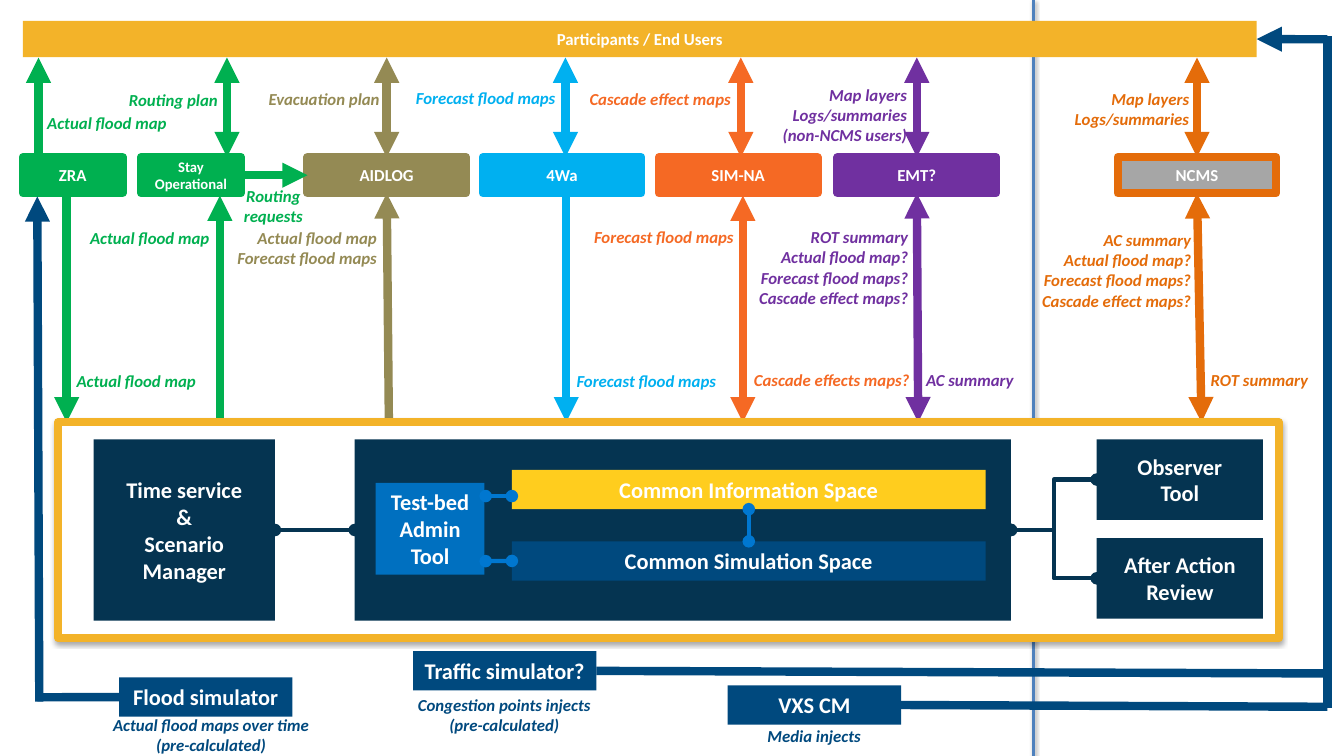
from lxml.etree import SubElement
from pptx import Presentation
from pptx.dml.color import RGBColor
from pptx.enum.shapes import MSO_CONNECTOR, MSO_SHAPE
from pptx.enum.text import MSO_ANCHOR, PP_ALIGN
from pptx.oxml.ns import qn
from pptx.util import Cm, Pt

FONT = "Calibri"
COLOURS = {
    "white": "FFFFFF", "green": "00B050", "olive": "948A54", "sky": "00B0F0",
    "coral": "F56924", "purple": "7030A0", "orange": "E46C0A", "grey": "A6A6A6",
    "gold": "F3B329", "yellow": "FFCD1E", "navy": "053451", "blue": "00497E",
    "admin": "0070C0", "link": "0077D0", "divider": "4F81BD", "black": "000000",
}
LEFT, CENTER, RIGHT = PP_ALIGN.LEFT, PP_ALIGN.CENTER, PP_ALIGN.RIGHT
TOP_SIDE, LEFT_SIDE, BOTTOM_SIDE, RIGHT_SIDE = range(4)

TOOL_TOP, TOOL_HEIGHT = 3.96, 0.91
USERS_BOTTOM, PLATFORM_TOP = 1.45, 10.64
TRUNK_X = 33.45

# Name, left, width, fill, border, text size
TOOLS = [
    ("ZRA", 0.58, 2.51, "green", "green", 12),
    ("Stay\nOperational", 3.56, 2.51, "green", "green", 10.5),
    ("AIDLOG", 7.75, 3.99, "olive", "olive", 12),
    ("4Wa", 12.17, 3.99, "sky", "sky", 12),
    ("SIM-NA", 16.61, 3.99, "coral", "coral", 12),
    ("EMT?", 21.11, 3.99, "purple", "purple", 12),
    ("NCMS", 28.17, 3.99, "grey", "orange", 12),
]

# Per tool: x at the users' arrow, its ends, x at tool and platform, its ends
# None as x joins the arrow to the middle of the tool's side
FLOWS = [
    (0.97, "", "triangle", 1.68, 1.68, "", "triangle"),
    (5.72, "triangle", "triangle", 5.54, 5.54, "triangle", ""),
    (None, "triangle", "triangle", None, 9.8, "triangle", ""),
    (14.25, "triangle", "triangle", 14.27, 14.27, "", "triangle"),
    (18.67, "triangle", "triangle", 18.72, 18.72, "triangle", "triangle"),
    (None, "triangle", "triangle", None, 23.14, "triangle", "triangle"),
    (None, "triangle", "triangle", None, 30.28, "triangle", "triangle"),
]

# Text, left, top, width, height, colour, alignment
LABELS = [
    ("Actual flood map", 0.86, 2.67, 3.89, 0.86, "green", LEFT),
    ("Routing plan", 1.93, 2.08, 3.89, 0.86, "green", RIGHT),
    ("Evacuation plan", 6.32, 2.06, 3.58, 0.86, "olive", RIGHT),
    ("Forecast flood maps", 10.06, 2.03, 4.27, 0.86, "sky", RIGHT),
    ("Cascade effect maps", 14.43, 2.06, 4.32, 0.86, "coral", RIGHT),
    ("Map layers\nLogs/summaries\n(non-NCMS users)", 19.38, 1.96, 3.81, 1.88, "purple", RIGHT),
    ("Map layers\nLogs/summaries", 26.52, 2.06, 3.78, 1.37, "orange", RIGHT),
    ("Routing\nrequests", 5.0, 4.5, 3.78, 1.37, "green", CENTER),
    ("Actual flood map", 1.9, 5.56, 3.71, 0.86, "green", RIGHT),
    ("Actual flood map\nForecast flood maps", 5.56, 5.56, 4.27, 1.37, "olive", RIGHT),
    ("Forecast flood maps", 14.5, 5.54, 4.32, 0.86, "coral", RIGHT),
    ("ROT summary\nActual flood map?\nForecast flood maps?\nCascade effect maps?",
     16.97, 5.54, 6.25, 2.39, "purple", RIGHT),
    ("AC summary\nActual flood map?\nForecast flood maps?\nCascade effect maps?",
     25.78, 5.61, 4.57, 2.39, "orange", RIGHT),
    ("Actual flood map", 1.6, 9.17, 3.89, 0.86, "green", LEFT),
    ("Forecast flood maps", 14.2, 9.17, 4.32, 0.86, "sky", LEFT),
    ("Cascade effects maps?", 18.67, 9.14, 4.7, 0.86, "coral", LEFT),
    ("AC summary", 23.01, 9.14, 3.28, 0.86, "purple", LEFT),
    ("ROT summary", 30.18, 9.14, 3.51, 0.86, "orange", LEFT),
    ("Actual flood maps over time (pre-calculated)", 2.46, 17.83, 5.72, 1.37, "blue", CENTER),
    ("Congestion points injects (pre-calculated)", 10.13, 17.32, 5.16, 1.37, "blue", CENTER),
    ("Media injects", 18.36, 18.11, 4.32, 0.86, "blue", CENTER),
]


def rgb(name):
    return RGBColor.from_string(COLOURS[name])


def write_text(shape, text, size, colour, alignment, margins, italic=False):
    frame = shape.text_frame
    frame.word_wrap = True
    frame.margin_left = frame.margin_right = Cm(margins[0])
    frame.margin_top = frame.margin_bottom = Cm(margins[1])
    for index, line in enumerate(text.split("\n")):
        paragraph = frame.add_paragraph() if index else frame.paragraphs[0]
        paragraph.alignment = alignment
        run = paragraph.add_run()
        run.text = line
        run.font.name = FONT
        run.font.size = Pt(size)
        run.font.bold = True
        run.font.italic = italic
        run.font.color.rgb = rgb(colour)


def add_box(slide, text, left, top, width, height, fill, border=None, size=16):
    shape = slide.shapes.add_shape(
        MSO_SHAPE.RECTANGLE, Cm(left), Cm(top), Cm(width), Cm(height))
    shape.shadow.inherit = False
    shape.fill.solid()
    shape.fill.fore_color.rgb = rgb(fill)
    if border:
        shape.line.color.rgb = rgb(border)
        shape.line.width = Pt(6)
    else:
        shape.line.fill.background()
    if text:
        shape.text_frame.vertical_anchor = MSO_ANCHOR.MIDDLE
        write_text(shape, text, size, "white", CENTER, (0.1, 0))
    return shape


def add_label(slide, text, left, top, width, height, colour, alignment):
    box = slide.shapes.add_textbox(Cm(left), Cm(top), Cm(width), Cm(height))
    write_text(box, text, 12, colour, alignment, (0.33, 0.18), italic=True)


def add_line(slide, start, end, colour, width=6, head="", tail="",
             kind=MSO_CONNECTOR.STRAIGHT):
    """Each end is a point (x, y) in cm or a joined side (shape, side)."""
    joined_start, joined_end = (hasattr(place[0], "shape_id") for place in (start, end))
    begin_point = (0, 0) if joined_start else start
    end_point = (0, 0) if joined_end else end
    connector = slide.shapes.add_connector(
        kind, *(Cm(value) for value in (*begin_point, *end_point)))
    if joined_start:
        connector.begin_connect(*start)
    if joined_end:
        connector.end_connect(*end)
    connector.line.color.rgb = rgb(colour)
    connector.line.width = Pt(width)
    outline = connector.line._get_or_add_ln()
    for tag, style in (("a:headEnd", head), ("a:tailEnd", tail)):
        if style:
            SubElement(outline, qn(tag), type=style)
    SubElement(connector._element.spPr, qn("a:effectLst"))
    return connector


def add_shadow(shape, opacity):
    effects = shape._element.spPr.find(qn("a:effectLst"))
    shadow = SubElement(effects, qn("a:outerShdw"), blurRad=str(Pt(3.1)),
                        dist=str(Pt(1.7)), dir="5400000", rotWithShape="0")
    colour = SubElement(shadow, qn("a:srgbClr"), val=COLOURS["black"])
    SubElement(colour, qn("a:alpha"), val=str(opacity * 1000))


def add_tools(slide):
    tools = [add_box(slide, name, left, TOOL_TOP, width, TOOL_HEIGHT, fill, border, size)
             for name, left, width, fill, border, size in TOOLS]
    for tool, settings, flow in zip(tools, TOOLS, FLOWS):
        colour = settings[4]
        users_x, users_head, users_tail, tool_x, platform_x, head, tail = flow
        top = (tool, TOP_SIDE) if users_x is None else (users_x, TOOL_TOP)
        centre_x = settings[1] + settings[2] / 2 if users_x is None else users_x
        add_line(slide, top, (centre_x, USERS_BOTTOM), colour,
                 head=users_head, tail=users_tail)
        bottom = (tool, BOTTOM_SIDE) if tool_x is None else (tool_x, 4.93)
        add_line(slide, bottom, (platform_x, PLATFORM_TOP), colour, head=head, tail=tail)
    add_line(slide, (tools[1], RIGHT_SIDE), (tools[2], LEFT_SIDE), "green", tail="triangle")


def add_platform(slide):
    platform = add_box(slide, "", 1.47, PLATFORM_TOP, 30.76, 5.44, "white", "gold")
    add_shadow(platform, 35)
    core = add_box(slide, "", 8.94, 11.07, 16.54, 4.57, "navy")
    time = add_box(slide, "Time service\n&\nScenario\nManager", 2.36, 11.07, 4.57, 4.57, "navy")
    add_box(slide, "Test-bed\nAdmin\nTool", 9.47, 12.17, 2.74, 2.31, "admin")
    information = add_box(slide, "Common Information Space", 12.9, 11.84, 11.94, 0.99, "yellow")
    simulation = add_box(slide, "Common Simulation Space", 12.9, 13.64, 11.94, 0.99, "blue")

    # Links between the parts
    links = [
        ((time, RIGHT_SIDE), (core, LEFT_SIDE), "navy"),
        ((12.24, 12.5), (12.9, 12.5), "link"),
        ((12.24, 14.14), (simulation, LEFT_SIDE), "link"),
        ((simulation, TOP_SIDE), (information, BOTTOM_SIDE), "link"),
    ]
    for start, end, colour in links:
        add_line(slide, start, end, colour, 3, "oval", "oval")
    for text, top in (("Observer\nTool", 11.07), ("After Action\nReview", 13.56)):
        review = add_box(slide, text, 27.64, top, 4.19, 2.03, "navy")
        add_line(slide, (review, LEFT_SIDE), (core, RIGHT_SIDE), "navy", 3,
                 "oval", "oval", MSO_CONNECTOR.ELBOW)


def add_simulators(slide, users):
    flood = add_box(slide, "Flood simulator", 3.0, 17.07, 4.37, 0.99, "blue")
    traffic = add_box(slide, "Traffic simulator?", 10.41, 16.41, 4.62, 0.99, "blue")
    media = add_box(slide, "VXS CM", 18.34, 17.27, 4.37, 0.99, "blue")
    add_line(slide, (flood, LEFT_SIDE), (0.94, 17.57), "blue")
    add_line(slide, (0.99, 17.68), (0.94, 4.95), "blue", tail="triangle")
    add_line(slide, (traffic, RIGHT_SIDE), (TRUNK_X, 16.97), "blue")
    add_line(slide, (media, RIGHT_SIDE), (TRUNK_X, 17.81), "blue")
    add_line(slide, (TRUNK_X, 17.83), (TRUNK_X, 0.91), "blue")
    add_line(slide, (TRUNK_X, 0.99), (users, RIGHT_SIDE), "blue", tail="triangle")


def main():
    presentation = Presentation()
    presentation.slide_width, presentation.slide_height = Cm(33.87), Cm(19.05)
    slide = presentation.slides.add_slide(presentation.slide_layouts[6])

    # Divider and users
    divider = add_line(slide, (26.04, 0), (26.04, 19.05), "divider", 2)
    add_shadow(divider, 38)
    users = add_box(slide, "Participants / End Users", 0.58, 0.53, 31.09, 0.91, "gold", size=12)

    # Tools, platform and simulators
    add_tools(slide)
    add_platform(slide)
    add_simulators(slide, users)

    # Flow labels
    for label in LABELS:
        add_label(slide, *label)

    presentation.save("out.pptx")


if __name__ == "__main__":
    main()
